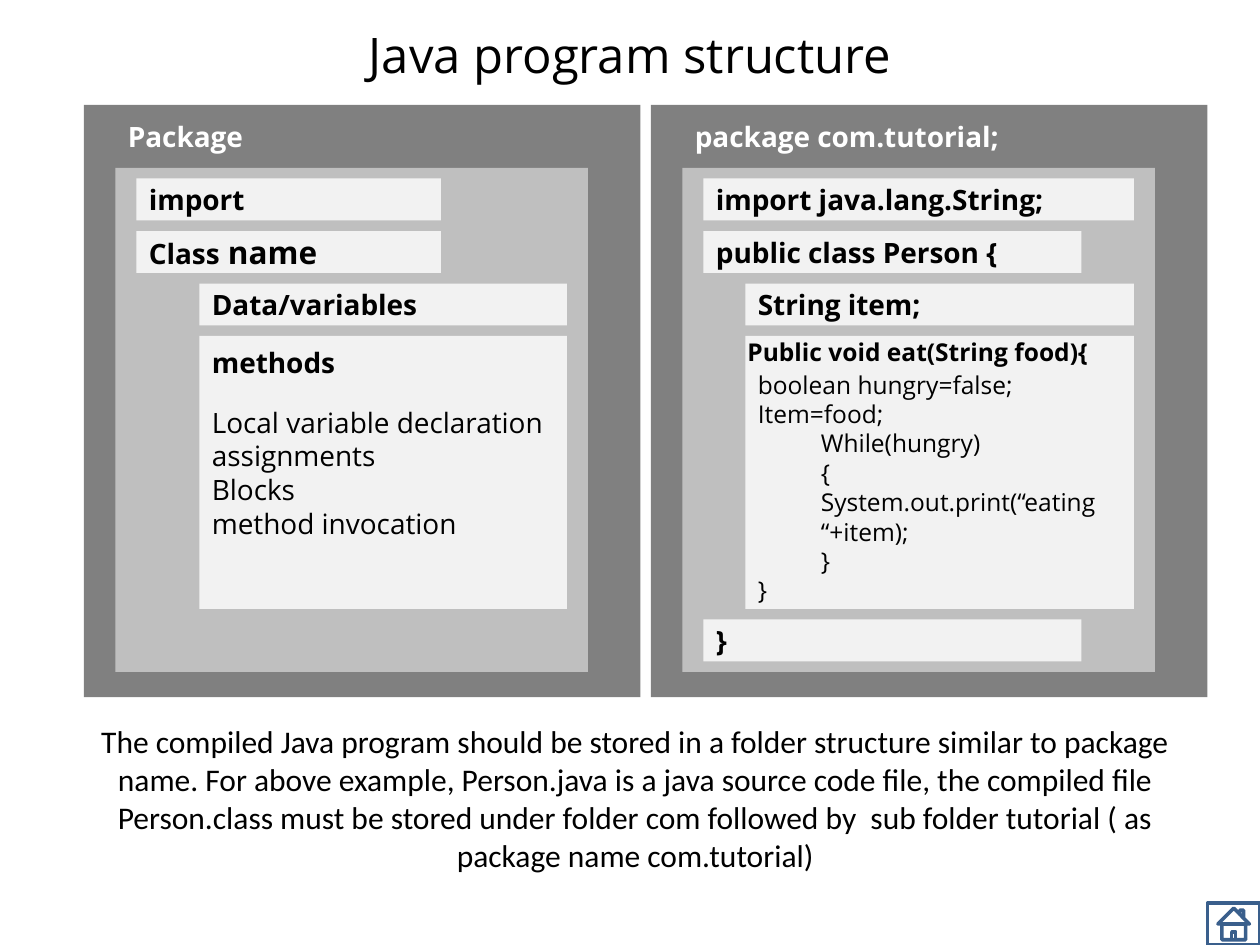
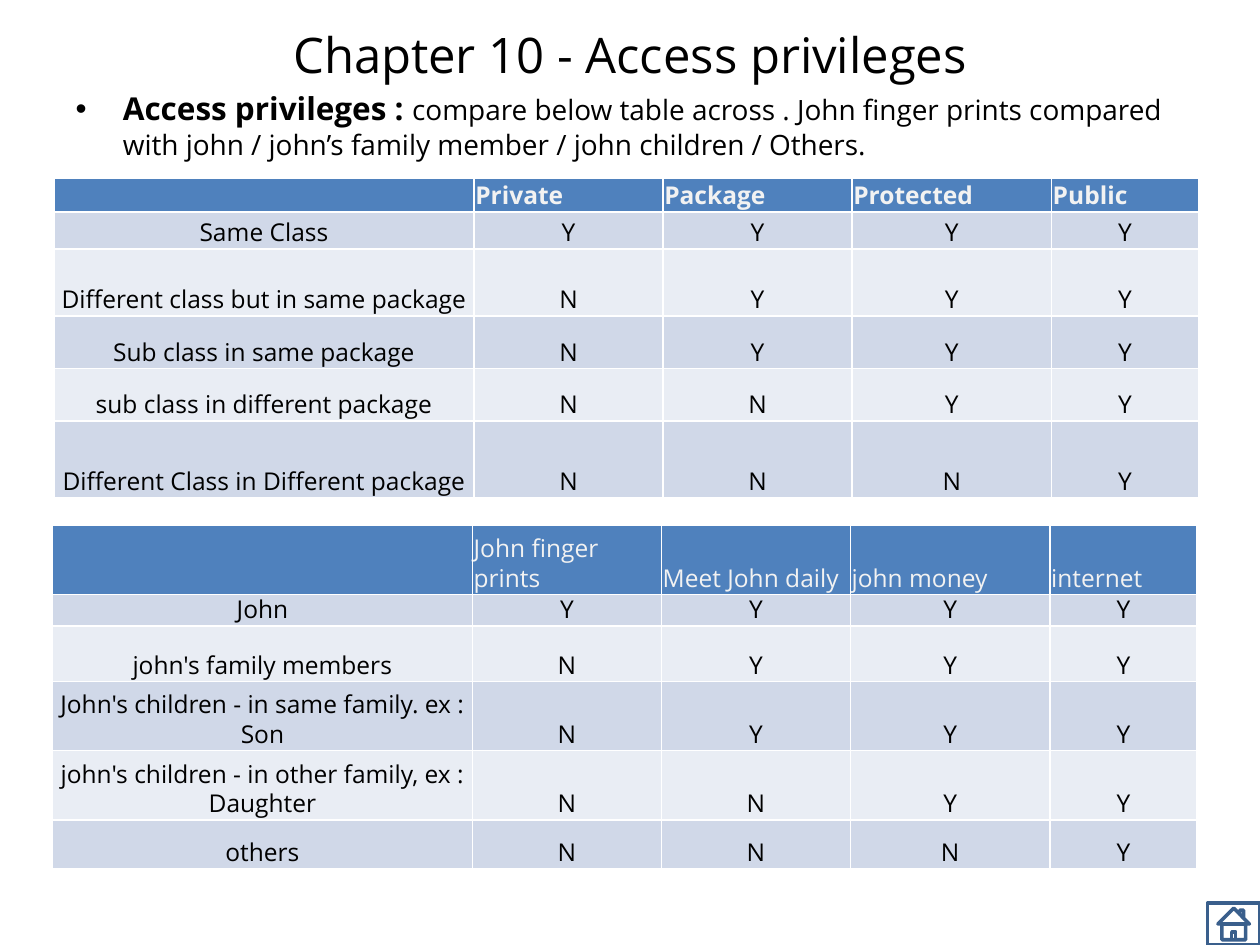
from dataclasses import dataclass

from lxml.etree import SubElement
from pptx import Presentation
from pptx.dml.color import RGBColor
from pptx.enum.shapes import MSO_SHAPE
from pptx.enum.text import MSO_ANCHOR, PP_ALIGN
from pptx.oxml.ns import qn
from pptx.util import Inches, Pt


@dataclass(frozen=True)
class Theme:
    """Colours, fonts and type sizes of the deck."""
    ink: str = "000000"
    white: str = "FFFFFF"
    pale: str = "F2F2F2"
    mid: str = "BFBFBF"
    dark: str = "808080"
    edge: str = "3A5F8C"
    head: str = "4F81BD"
    bands: tuple = ("D0D8E8", "E9EDF4")
    sans: str = "Open Sans"
    plain: str = "Calibri"
    title: int = 28
    lead: int = 18
    text: int = 16
    code: int = 14
    line: float = 1.2


look = Theme()
deck = Presentation()
deck.slide_width, deck.slide_height = Inches(10), Inches(7.5)
unit = deck.slide_width / 120  # the grid has 120 columns and 90 rows


def write(para, runs, color=look.ink, face=look.sans):
    """Add (text, size, bold) runs to a paragraph."""
    for text, size, bold in runs:
        run = para.add_run()
        run.text = text
        font = run.font
        font.name, font.size, font.bold = face, Pt(size), bold
        font.color.rgb = RGBColor.from_string(color)


def place(slide, spot, fill=None, runs=(), color=look.ink, face=look.sans):
    """Add a box or a text box at a grid spot and return its text frame."""
    area = [round(n * unit) for n in spot]
    if fill:
        box = slide.shapes.add_shape(MSO_SHAPE.RECTANGLE, *area)
        box.shadow.inherit = False
        box.fill.solid()
        box.fill.fore_color.rgb = RGBColor.from_string(fill)
        box.line.fill.background()
    else:
        box = slide.shapes.add_textbox(*area)
    frame = box.text_frame
    frame.word_wrap = True
    frame.vertical_anchor = MSO_ANCHOR.MIDDLE
    frame.paragraphs[0].alignment = PP_ALIGN.LEFT
    write(frame.paragraphs[0], runs, color, face)
    return frame


# Shared title and home button
slides = []
for name, layout in (("Java program structure", 5),
                     ("Chapter 10 - Access privileges", 1)):
    slide = deck.slides.add_slide(deck.slide_layouts[layout])
    title = slide.shapes.title
    title.left, title.top, title.width, title.height = [
        round(n * unit) for n in (6, 0.5, 108, 9.3)]
    title.text_frame.vertical_anchor = MSO_ANCHOR.MIDDLE
    para = title.text_frame.paragraphs[0]
    para.alignment = PP_ALIGN.CENTER
    write(para, [(name, look.title, False)])
    home = slide.shapes.add_shape(
        MSO_SHAPE.ACTION_BUTTON_HOME, *[round(n * unit) for n in (115, 86, 5, 4)])
    home.shadow.inherit = False
    home.fill.background()
    home.line.color.rgb = RGBColor.from_string(look.edge)
    home.line.width = Pt(2)
    slides.append(slide)
first, second = slides

# Slide 1: the two panels; bars are (indent, row, width, runs)
big, small = look.text, look.code
panels = [
    (8, "Package", 28, [
        (5, 17, 29, [("import", big, True)]),
        (5, 22, 29, [("Class", big, True), (" name", look.lead, True)]),
        (11, 27, 35, [("Data/variables", big, True)]),
    ], (11, 35), big, 0, [
        (0, "Local variable declaration"), (0, "assignments"),
        (0, "Blocks"), (0, "method invocation"),
    ], (11, 32, 27, 5), "methods"),
    (62, "package com.tutorial;", 47, [
        (5, 17, 41, [("import java.lang.String;", big, True)]),
        (5, 22, 36, [("public class Person {", big, True)]),
        (9, 27, 37, [("String item;", big, True)]),
        (5, 59, 36, [("}", big, True)]),
    ], (9, 37), small, 1, [
        (0, "boolean hungry=false;"), (0, "Item=food;"),
        (1, "While(hungry)"), (1, "{"),
        (1, "System.out.print(“eating “+item);"), (1, "}"), (0, "}"),
    ], (8, 31, 44, 5), "Public void eat(String food){"),
]
for left, name, wide, bars, block, size, skip, lines, spot, label in panels:
    place(first, (left, 10, 53, 56.4), look.dark)
    place(first, (left + 3, 16, 45, 48), look.mid)
    place(first, (left + 3, 11, wide, 4), None, [(name, big, True)], look.white)
    for dent, row, width, runs in bars:
        place(first, (left + dent, row, width, 4), look.pale, runs)
    frame = place(first, (left + block[0], 32, block[1], 26), look.pale)
    pitch = Pt(size * look.line)
    frame.margin_top += skip * pitch
    for index, (level, text) in enumerate(lines):
        para = frame.add_paragraph() if index else frame.paragraphs[0]
        para.alignment = PP_ALIGN.LEFT
        para.line_spacing = pitch
        para.level = level
        para._p.get_or_add_pPr().set("marL", str(level * Inches(0.5)))
        write(para, [(text, size, False)])
    place(first, (left + spot[0], *spot[1:]), None, [(label, size, True)])

note = place(first, (8, 68, 105, 16), None, [(
    "The compiled Java program should be stored in a folder structure similar to "
    "package name. For above example, Person.java is a java source code file, the "
    "compiled file Person.class must be stored under folder com followed by  sub "
    "folder tutorial ( as package name com.tutorial)", look.lead, False)],
    face=look.plain)
note.paragraphs[0].alignment = PP_ALIGN.CENTER

# Slide 2: lead line
body = second.placeholders[1]
body.left, body.top, body.width, body.height = [
    round(n * unit) for n in (6, 8.3, 108, 79.7)]
para = body.text_frame.paragraphs[0]
para.line_spacing = Pt(look.text * look.line)
write(para, [
    ("Access privileges : ", look.lead, True),
    ("compare below table across . John finger prints compared with john / "
     "john’s family member / john children / Others.", look.text, False)])

# Slide 2: the tables share their columns and their answers
answers = ["YYYY", "NYYY", "NYYY", "NNYY", "NNNY"]
cols = [40, 18, 18, 19, 14]
tables = [
    (5.15, 17, True, [3.2, 3.5, 6.4, 5, 5, 7.3],
     ["Private", "Package", "Protected", "Public"],
     ["Same Class", "Different class but in same package",
      "Sub class in same package", "sub class in different package",
      "Different Class in Different package"]),
    (5, 50, False, [6.6, 3, 5.3, 6.6, 6.6, 4.6],
     ["John finger prints", "Meet John daily", "john money", "internet"],
     ["John", "john's family members",
      "John's children - in same family. ex : Son",
      "john's children - in other family, ex : Daughter", "others"]),
]
for left, top, bold, rows, heads, names in tables:
    area = [round(n * unit) for n in (left, top, sum(cols), sum(rows))]
    table = second.shapes.add_table(len(rows), len(cols), *area).table
    for col, width in zip(table.columns, cols):
        col.width = round(width * unit)
    for row, height in zip(table.rows, rows):
        row.height = round(height * unit)
    grid = [["", *heads]] + [[name, *marks] for name, marks in zip(names, answers)]
    for r, line in enumerate(grid):
        for c, text in enumerate(line):
            cell = table.cell(r, c)
            cell.fill.solid()
            cell.fill.fore_color.rgb = RGBColor.from_string(
                look.bands[(r - 1) % 2] if r else look.head)
            cell.vertical_anchor = MSO_ANCHOR.BOTTOM
            cell.margin_left = cell.margin_right = cell.margin_top = Inches(0.01)
            cell.margin_bottom = 0
            para = cell.text_frame.paragraphs[0]
            para.alignment = PP_ALIGN.CENTER if r else PP_ALIGN.LEFT
            para.line_spacing = Pt(17)
            if text:
                write(para, [(text, look.code, bold and r == 0)],
                      look.ink if r else look.pale)
            else:
                SubElement(para._p, qn("a:endParaRPr"), sz=str(look.code * 100))

deck.save("out.pptx")
